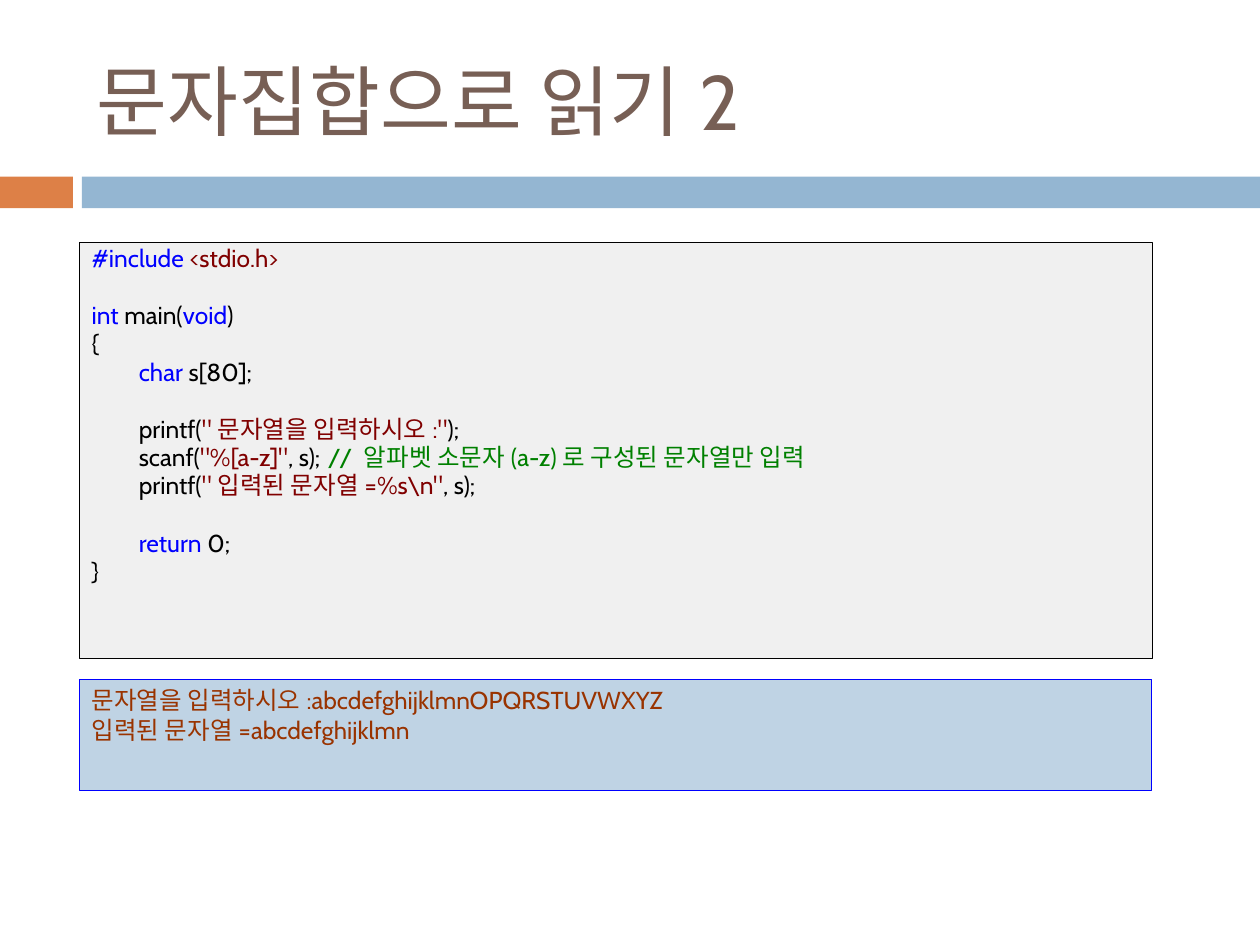
import pptx
import pptx.util
import pptx.dml.color
import pptx.enum.shapes
import pptx.enum.text

Cm, Pt = pptx.util.Cm, pptx.util.Pt
ALIGN = pptx.enum.text.PP_ALIGN
MIDDLE = pptx.enum.text.MSO_ANCHOR.MIDDLE
TOP = pptx.enum.text.MSO_ANCHOR.TOP
RECT = pptx.enum.shapes.MSO_SHAPE.RECTANGLE

FONT = "Cabin"
BLACK, BLUE, RED, GREEN = "000000", "0000FF", "800000", "008000"
STEP = 2.8    # space before a code line, points
GAP = 16.4    # height of one code line with its space, points

# Each line: empty lines above it, then its coloured pieces
CODE = [
    (0, [("#include ", BLUE), ("<stdio.h>", RED)]),
    (1, [("int", BLUE), (" main(", BLACK), ("void", BLUE), (")", BLACK)]),
    (0, [("{", BLACK)]),
    (0, [("\tchar", BLUE), (" s[80];", BLACK)]),
    (1, [("\tprintf(", BLACK), ('"문자열을 입력하시오:"', RED), (");", BLACK)]),
    (0, [("\tscanf(", BLACK), ('"%[a-z]"', RED), (", s);\t", BLACK),
         ("// 알파벳 소문자(a-z)로 구성된 문자열만 입력", GREEN)]),
    (0, [("\tprintf(", BLACK), ('"입력된 문자열=%s\\n"', RED), (", s);", BLACK)]),
    (1, [("\treturn", BLUE), (" 0;", BLACK)]),
    (0, [("}", BLACK)]),
]
RESULT = ["문자열을 입력하시오:abcdefghijklmnOPQRSTUVWXYZ",
          "입력된 문자열=abcdefghijklmn"]


def color(text):
    return pptx.dml.color.RGBColor.from_string(text)


def style(para, size, align, tint=None):
    para.alignment = align
    para.font.name = FONT
    para.font.size = Pt(size)
    if tint:
        para.font.color.rgb = color(tint)


def add_box(slide, box, fill, line=None, width=0):
    shape = slide.shapes.add_shape(RECT, *map(Cm, box))
    shape.shadow.inherit = False
    shape.fill.solid()
    shape.fill.fore_color.rgb = color(fill)
    if line:
        shape.line.color.rgb = color(line)
        shape.line.width = Pt(width)
    else:
        shape.line.fill.background()
    shape.text_frame.word_wrap = True
    shape.text_frame.vertical_anchor = TOP
    return shape


def add_paras(frame, count):
    """Return the frame's first paragraph and as many more as needed."""
    return [frame.paragraphs[0]] + [frame.add_paragraph()
                                    for _ in range(count - 1)]


def add_band(slide, box):
    left, top, width, height = box
    tab, start = 1.47, 1.65
    add_box(slide, (left, top, tab, height), "DD8047")
    add_box(slide, (left + start, top, width - start, height), "94B6D2")


def add_title(slide, box, text):
    title = slide.shapes.title
    title.left, title.top, title.width, title.height = map(Cm, box)
    frame = title.text_frame
    frame.text = text
    frame.vertical_anchor = MIDDLE
    style(frame.paragraphs[0], 44, ALIGN.LEFT, "775F55")


def add_code(slide, box):
    frame = add_box(slide, box, "F0F0F0", BLACK, 0.25).text_frame
    for para, (blank, parts) in zip(add_paras(frame, len(CODE)), CODE):
        style(para, 14, ALIGN.LEFT)
        para.line_spacing = 0.8
        para.space_before = Pt(STEP + blank * GAP)
        # Hanging indent: the first tab stops at the margin
        props = para._p.get_or_add_pPr()
        props.set("marL", str(Cm(0.95)))
        props.set("indent", str(-Cm(0.95)))
        for text, tint in parts:
            run = para.add_run()
            run.text = text
            run.font.color.rgb = color(tint)


def add_result(slide, box):
    frame = add_box(slide, box, "BFD3E4", BLUE, 0.33).text_frame
    for para, text in zip(add_paras(frame, len(RESULT)), RESULT):
        para.text = text
        style(para, 14, ALIGN.JUSTIFY, "993300")


def main():
    deck = pptx.Presentation()
    deck.slide_width, deck.slide_height = Cm(25.4), Cm(19.05)
    slide = deck.slides.add_slide(deck.slide_layouts[5])
    # Heading
    add_band(slide, (0, 3.56, 25.4, 0.64))
    add_title(slide, (1.7, 0.64, 22.66, 2.74), "문자집합으로 읽기2")
    # Program and what it prints
    add_code(slide, (1.6, 4.88, 21.62, 8.4))
    add_result(slide, (1.6, 13.69, 21.62, 2.25))
    deck.save("out.pptx")


if __name__ == "__main__":
    main()
